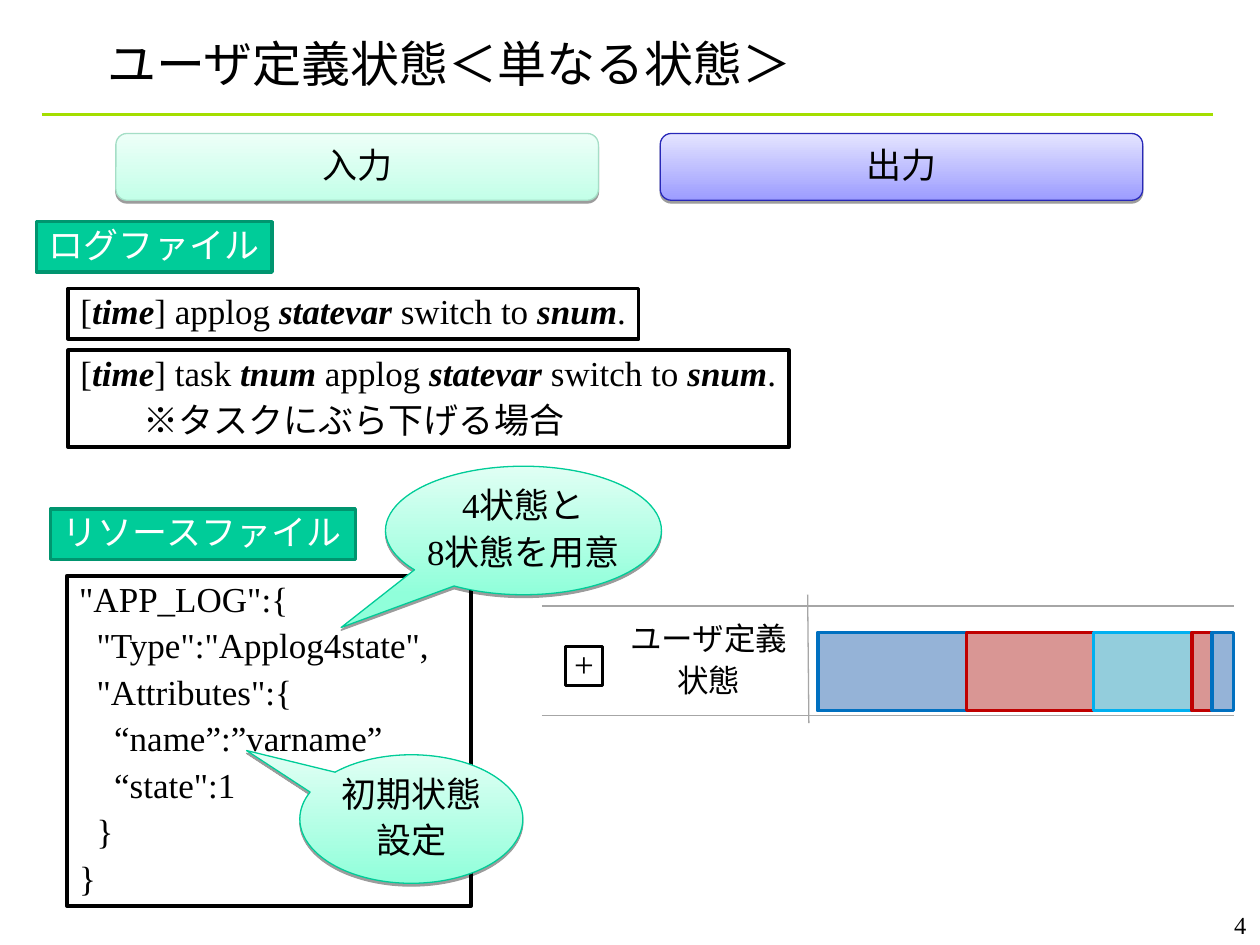
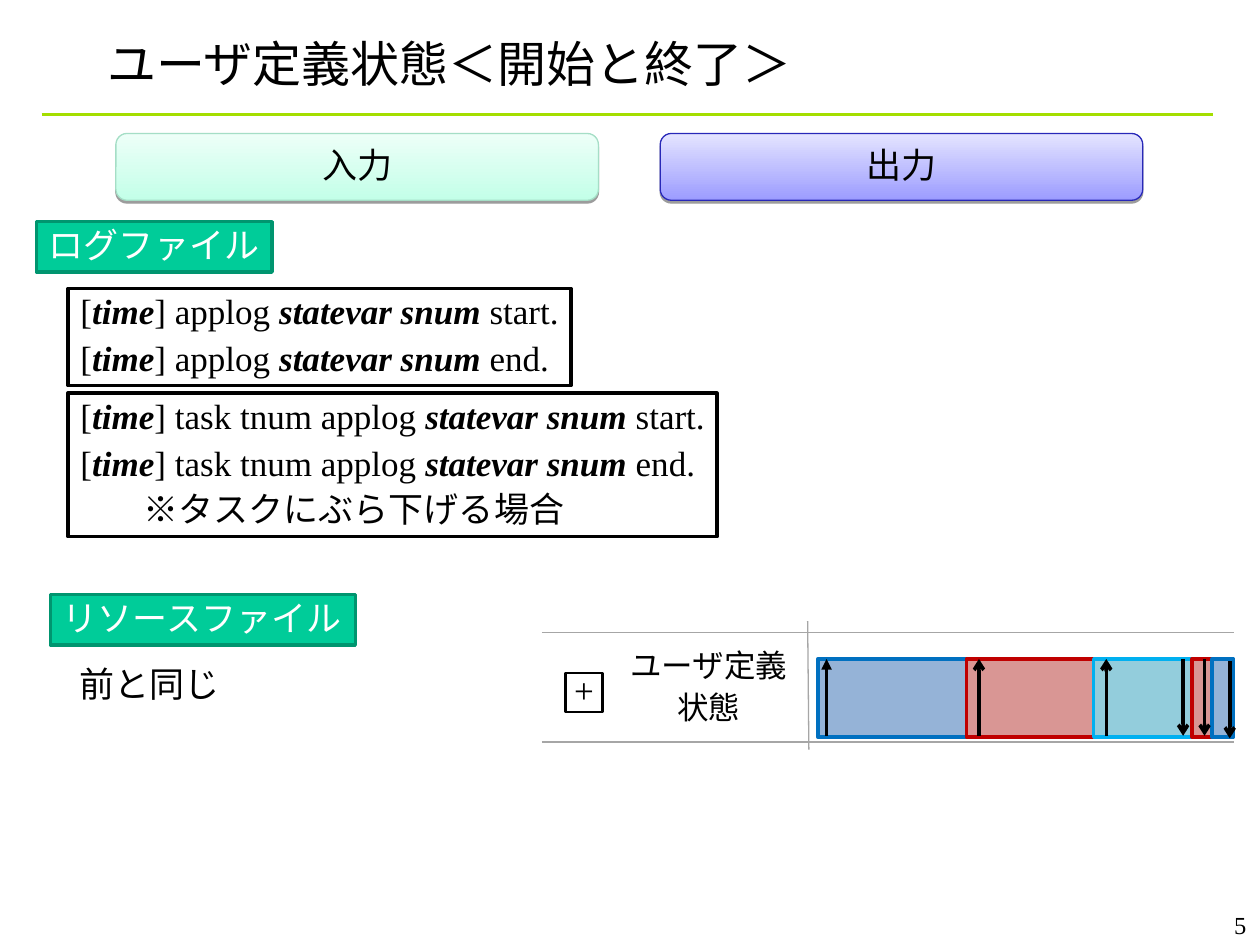
from dataclasses import dataclass
from itertools import accumulate

from lxml.etree import SubElement
from pptx import Presentation
from pptx.dml.color import RGBColor
from pptx.enum.shapes import MSO_CONNECTOR, MSO_SHAPE
from pptx.enum.text import MSO_ANCHOR, MSO_AUTO_SIZE, PP_ALIGN
from pptx.oxml.ns import qn
from pptx.util import Inches, Pt


@dataclass(frozen=True)
class Theme:
    font: str = "Times New Roman"
    title_size: int = 28
    body_size: int = 20
    row_size: int = 18
    number_size: int = 14
    black: str = "000000"
    white: str = "FFFFFF"
    title_rule: str = "A4DE00"
    grid: str = "A6A6A6"
    label: tuple = ("00CC99", "00956F")
    # Gradient styles: bottom, top, outline
    input_header: tuple = ("C3FFE8", "EDFFF8", "A5DEC6")
    output_header: tuple = ("9C9CFF", "E4E4FF", "2828B8")
    callout: tuple = ("90FFDA", "E0FFF4", "00CC98")
    # State styles: fill, outline
    blue: tuple = ("4F81BD", "0070C0")
    red: tuple = ("C0504D", "C00000")
    cyan: tuple = ("4BACC6", "00B0F0")


THEME = Theme()


def rgb(value):
    return RGBColor.from_string(value)


def apply(target, formats):
    for name, value in formats.items():
        setattr(target, name, value)


def write(shape, lines, size=THEME.body_size, color=THEME.black, align=PP_ALIGN.LEFT,
          anchor=MSO_ANCHOR.TOP, wrap=False, inset=(0.1, 0.05), spacing=0.9, indents=None):
    """Fill a shape with paragraphs; text between asterisks is bold italic."""
    frame = shape.text_frame
    side, edge = map(Inches, inset)
    apply(frame, {"word_wrap": wrap, "auto_size": MSO_AUTO_SIZE.NONE,
                  "vertical_anchor": anchor, "margin_left": side, "margin_right": side,
                  "margin_top": edge, "margin_bottom": edge})
    for index, line in enumerate(lines):
        para = frame.paragraphs[0] if index == 0 else frame.add_paragraph()
        apply(para, {"alignment": align, "line_spacing": spacing,
                     "space_before": Pt(size / 4 if index else 0)})
        if indents and index in indents:
            properties = para._p.get_or_add_pPr()
            properties.set("marL", str(Inches(indents[index])))
            properties.set("indent", "0")
        for part, words in enumerate(line.split("*")):
            if not words:
                continue
            span = para.add_run()
            span.text = words
            strong = part % 2 == 1
            apply(span.font, {"name": THEME.font, "size": Pt(size),
                              "bold": strong, "italic": strong})
            span.font.color.rgb = rgb(color)


def add_box(page, box, fill, outline, weight=2, preset=MSO_SHAPE.RECTANGLE):
    shape = page.shapes.add_shape(preset, *map(Inches, box))
    shape.shadow.inherit = False
    shape.fill.solid()
    shape.fill.fore_color.rgb = rgb(fill)
    shape.line.color.rgb = rgb(outline)
    shape.line.width = Pt(weight)
    return shape


def add_glossy(page, box, preset, style, adjustments, lines):
    """Add a gradient shape with a hard shadow and centred text."""
    bottom, top, outline = style
    shape = add_box(page, box, bottom, outline, 0.75, preset)
    for index, value in enumerate(adjustments):
        shape.adjustments[index] = value
    shape.fill.gradient()
    shape.fill.gradient_angle = 90
    for stop, color in zip(shape.fill.gradient_stops, (bottom, top)):
        stop.color.rgb = rgb(color)
    effects = shape.element.spPr.find(qn("a:effectLst"))
    shadow = SubElement(effects, qn("a:outerShdw"), blurRad="0", dist=str(Pt(1.6)),
                        dir="5400000", rotWithShape="0")
    color = SubElement(shadow, qn("a:srgbClr"), val=THEME.black)
    SubElement(color, qn("a:alpha"), val="38000")
    write(shape, lines, align=PP_ALIGN.CENTER, anchor=MSO_ANCHOR.MIDDLE)


def add_line(page, start, end, color, weight=0.75, arrow=None):
    line = page.shapes.add_connector(MSO_CONNECTOR.STRAIGHT, *map(Inches, (*start, *end)))
    line.line.color.rgb = rgb(color)
    line.line.width = Pt(weight)
    if arrow:
        SubElement(line.line._get_or_add_ln(), qn("a:tailEnd"), type=arrow)
    SubElement(line.element.spPr, qn("a:effectLst"))


def add_label(page, box, text):
    write(add_box(page, box, *THEME.label), [text], color=THEME.white)


def add_page(deck, title, number):
    page = deck.slides.add_slide(deck.slide_layouts[5])
    add_line(page, (0.33, 0.91), (9.63, 0.91), THEME.title_rule, 1.5)
    heading = page.shapes.title
    apply(heading, dict(zip(("left", "top", "width", "height"),
                            map(Inches, (0.75, 0.25, 8.5, 0.5)))))
    write(heading, [title], THEME.title_size, anchor=MSO_ANCHOR.MIDDLE, wrap=True, spacing=1)
    footer = page.shapes.add_textbox(*map(Inches, (7.91, 7.17, 2.08, 0.33)))
    write(footer, [str(number)], THEME.number_size, align=PP_ALIGN.RIGHT, wrap=True, spacing=1)
    headers = (("入力", THEME.input_header), ("出力", THEME.output_header))
    for column, (text, style) in enumerate(headers):
        add_glossy(page, (0.92 + 4.32 * column, 1.06, 3.83, 0.53),
                   MSO_SHAPE.ROUNDED_RECTANGLE, style, [0.167], [text])
    return page


def add_log_files(page, left, top, formats):
    """Add the label and one frame per (drop, width, height, lines, indents)."""
    add_label(page, (left, top, 1.87, 0.4), "ログファイル")
    for drop, width, height, lines, indents in formats:
        frame = add_box(page, (left + 0.25, top + drop, width, height),
                        THEME.white, THEME.black)
        write(frame, lines, indents=indents)


def add_resource_file(page, left, top, height, lines, outline):
    frame = add_box(page, (left + 0.13, top + 0.53, 3.21, height), THEME.white, outline)
    write(frame, lines, wrap=True)
    add_label(page, (left, top, 2.42, 0.4), "リソースファイル")


def add_state_row(page, left, top):
    """Draw one row of the state chart."""
    widths = (1.18, 1.01, 0.78, 0.16, 0.17)
    styles = (THEME.blue, THEME.red, THEME.cyan, THEME.red, THEME.blue)
    for offset, width, style in zip(accumulate(widths, initial=2.19), widths, styles):
        state = add_box(page, (left + offset, top + 0.3, width, 0.62), *style)
        color = state.element.spPr.find(qn("a:solidFill")).find(qn("a:srgbClr"))
        SubElement(color, qn("a:alpha"), val="60000")
    for drop in (0.09, 0.96):
        add_line(page, (left, top + drop), (left + 5.49, top + drop), THEME.grid)
    name = page.shapes.add_textbox(*map(Inches, (left + 0.6, top + 0.18, 1.45, 0.71)))
    write(name, ["ユーザ定義", "状態"], THEME.row_size, align=PP_ALIGN.CENTER)
    add_line(page, (left + 2.11, top), (left + 2.12, top + 1.02), THEME.grid)
    expander = add_box(page, (left + 0.19, top + 0.41, 0.29, 0.31),
                       THEME.white, THEME.black, 1.5)
    write(expander, ["+"], align=PP_ALIGN.CENTER, anchor=MSO_ANCHOR.MIDDLE,
          wrap=True, inset=(0, 0))


def add_state_arrows(page, left, top):
    """Mark starts with upward arrows and ends with downward ones."""
    high, low = top + 0.3, top + 0.91
    for offset, arrow in ((2.26, "triangle"), (3.47, "arrow"), (4.48, "arrow")):
        add_line(page, (left + offset, low), (left + offset, high), THEME.black, 2, arrow)
    for offset, drop in ((5.09, 0), (5.26, 0), (5.46, 0.02)):
        add_line(page, (left + offset, high + drop), (left + offset, low + drop),
                 THEME.black, 2, "arrow")


def build_plain_state(deck):
    page = add_page(deck, "ユーザ定義状態＜単なる状態＞", 4)
    add_resource_file(page, 0.4, 4.04, 2.62, [
        '"APP_LOG":{',
        '  "Type":"Applog4state",',
        '  "Attributes":{',
        '    “name”:”varname”',
        '    “state":1',
        '  }',
        '}',
    ], THEME.black)
    add_log_files(page, 0.29, 1.76, [
        (0.53, 4.53, 0.4, ["[*time*] applog *statevar* switch to *snum*."], None),
        (1.02, 5.72, 0.77, ["[*time*] task *tnum* applog *statevar* switch to *snum*.",
                            "※タスクにぶら下げる場合"], {1: 0.5}),
    ])
    callouts = (
        ((3.06, 3.7, 2.19, 1.02), (-0.661, 0.755), ["4状態と", "8状態を用意"]),
        ((2.38, 5.99, 1.77, 1.02), (-0.739, -0.533), ["初期状態", "設定"]),
    )
    for box, pointer, lines in callouts:
        add_glossy(page, box, MSO_SHAPE.OVAL_CALLOUT, THEME.callout, pointer, lines)
    add_state_row(page, 4.3, 4.72)


def build_start_and_end(deck):
    page = add_page(deck, "ユーザ定義状態＜開始と終了＞", 5)
    add_resource_file(page, 0.4, 4.72, 0.4, ["前と同じ"], THEME.white)
    events = ("start.", "end.")
    add_log_files(page, 0.29, 1.76, [
        (0.53, 3.99, 0.77, [f"[*time*] applog *statevar snum *{event}" for event in events],
         None),
        (1.36, 5.15, 1.14,
         [f"[*time*] task tnum applog *statevar snum *{event}" for event in events]
         + ["※タスクにぶら下げる場合"], {2: 0.5}),
    ])
    add_state_row(page, 4.3, 4.93)
    add_state_arrows(page, 4.3, 4.93)


def main():
    deck = Presentation()
    apply(deck, {"slide_width": Inches(10), "slide_height": Inches(7.5)})
    build_plain_state(deck)
    build_start_and_end(deck)
    deck.save("out.pptx")


if __name__ == "__main__":
    main()
